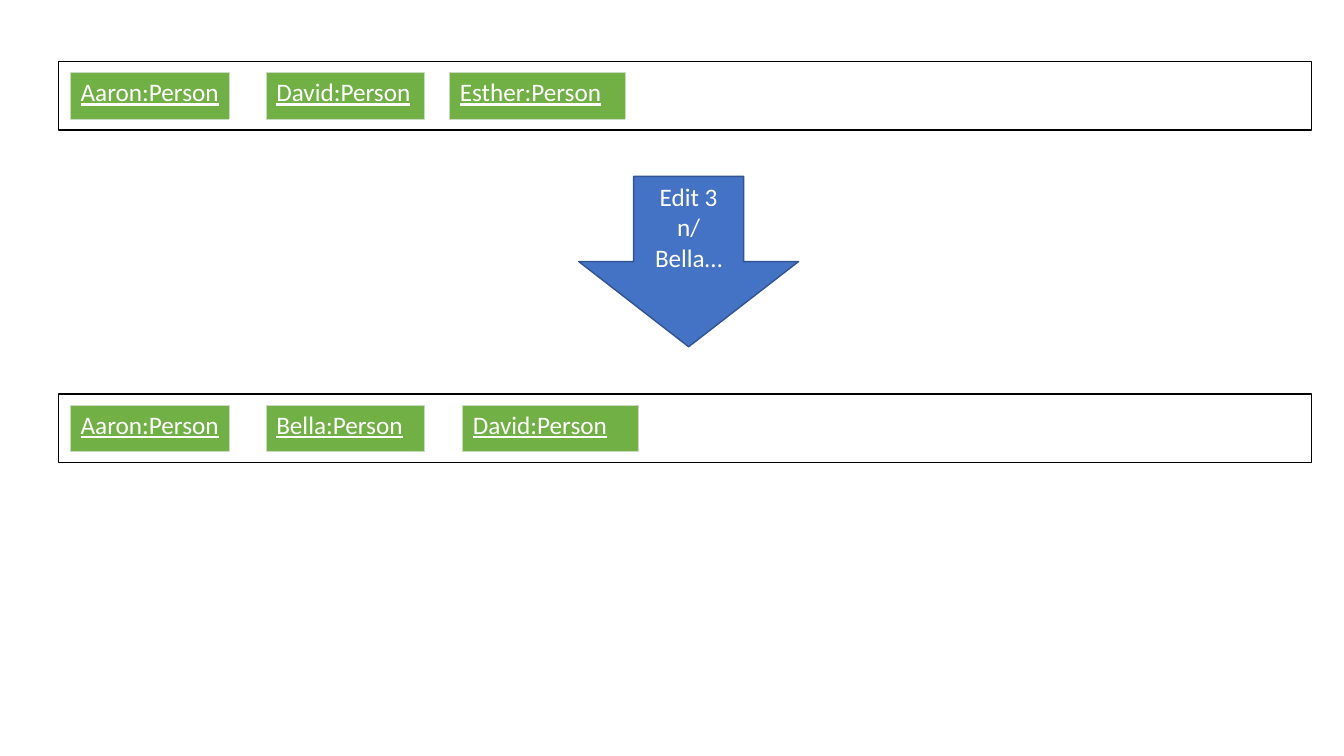
from lxml.etree import SubElement
from pptx import Presentation
from pptx.dml.color import RGBColor
from pptx.enum.shapes import MSO_SHAPE
from pptx.enum.text import MSO_ANCHOR, PP_ALIGN
from pptx.oxml.ns import qn
from pptx.util import Inches, Pt

WHITE = RGBColor(0xFF, 0xFF, 0xFF)
BLACK = RGBColor(0x00, 0x00, 0x00)
GREEN = RGBColor(0x70, 0xB0, 0x44)
PALE_GREEN = RGBColor(0xC9, 0xDB, 0xC1)
BLUE = RGBColor(0x44, 0x72, 0xC4)
DARK_BLUE = RGBColor(0x32, 0x54, 0x91)

# Each list: top of its frame, then the people as (name, left, width)
BEFORE_TOP, AFTER_TOP = 0.61, 3.91
BEFORE = [("Aaron", 0.7, 1.57), ("David", 2.64, 1.57), ("Esther", 4.46, 1.74)]
AFTER = [("Aaron", 0.7, 1.57), ("Bella", 2.64, 1.57), ("David", 4.59, 1.74)]


def write(frame, text, align=PP_ALIGN.LEFT, underline=False):
    for index, line in enumerate(text.split("\n")):
        paragraph = frame.add_paragraph() if index else frame.paragraphs[0]
        paragraph.alignment = align
        run = paragraph.add_run()
        run.text = line
        run.font.name = "Calibri"
        run.font.size = Pt(18)
        run.font.color.rgb = WHITE
        run.font.underline = underline


def add_outlined(slide, preset, box, line, fill=None):
    shape = slide.shapes.add_shape(preset, *map(Inches, box))
    shape.shadow.inherit = False
    shape.line.color.rgb = line
    shape.line.width = Pt(1)
    if fill is None:
        shape.fill.background()
    else:
        shape.fill.solid()
        shape.fill.fore_color.rgb = fill
    return shape


def add_borders(cell, color):
    properties = cell._tc.get_or_add_tcPr()
    for index, side in enumerate(("a:lnL", "a:lnR", "a:lnT", "a:lnB")):
        border = SubElement(properties, qn(side), w=str(Pt(0.5)))
        fill = SubElement(border, qn("a:solidFill"))
        SubElement(fill, qn("a:srgbClr"), val=str(color))
        properties.insert(index, border)


def add_person(slide, name, left, top, width):
    table = slide.shapes.add_table(
        1, 1, Inches(left), Inches(top), Inches(width), Inches(0.46)).table
    table.first_row = False
    table.horz_banding = False
    cell = table.cell(0, 0)
    cell.fill.solid()
    cell.fill.fore_color.rgb = GREEN
    add_borders(cell, PALE_GREEN)
    write(cell.text_frame, f"{name}:Person", underline=True)


def add_person_list(slide, top, people):
    add_outlined(slide, MSO_SHAPE.RECTANGLE, (0.58, top, 12.43, 0.68), BLACK)
    for name, left, width in people:
        add_person(slide, name, left, top + 0.11, width)


def add_command_arrow(slide, command):
    arrow = add_outlined(slide, MSO_SHAPE.DOWN_ARROW, (5.74, 1.75, 2.18, 1.69),
                         DARK_BLUE, BLUE)
    arrow.text_frame.word_wrap = True
    arrow.text_frame.vertical_anchor = MSO_ANCHOR.TOP
    write(arrow.text_frame, command, align=PP_ALIGN.CENTER)


def main():
    presentation = Presentation()
    presentation.slide_width = Inches(13.33)
    presentation.slide_height = Inches(7.5)
    slide = presentation.slides.add_slide(presentation.slide_layouts[6])

    # List before the edit, the command, list after the edit
    add_person_list(slide, BEFORE_TOP, BEFORE)
    add_command_arrow(slide, "Edit 3\nn/Bella…")
    add_person_list(slide, AFTER_TOP, AFTER)

    presentation.save("out.pptx")


if __name__ == "__main__":
    main()
